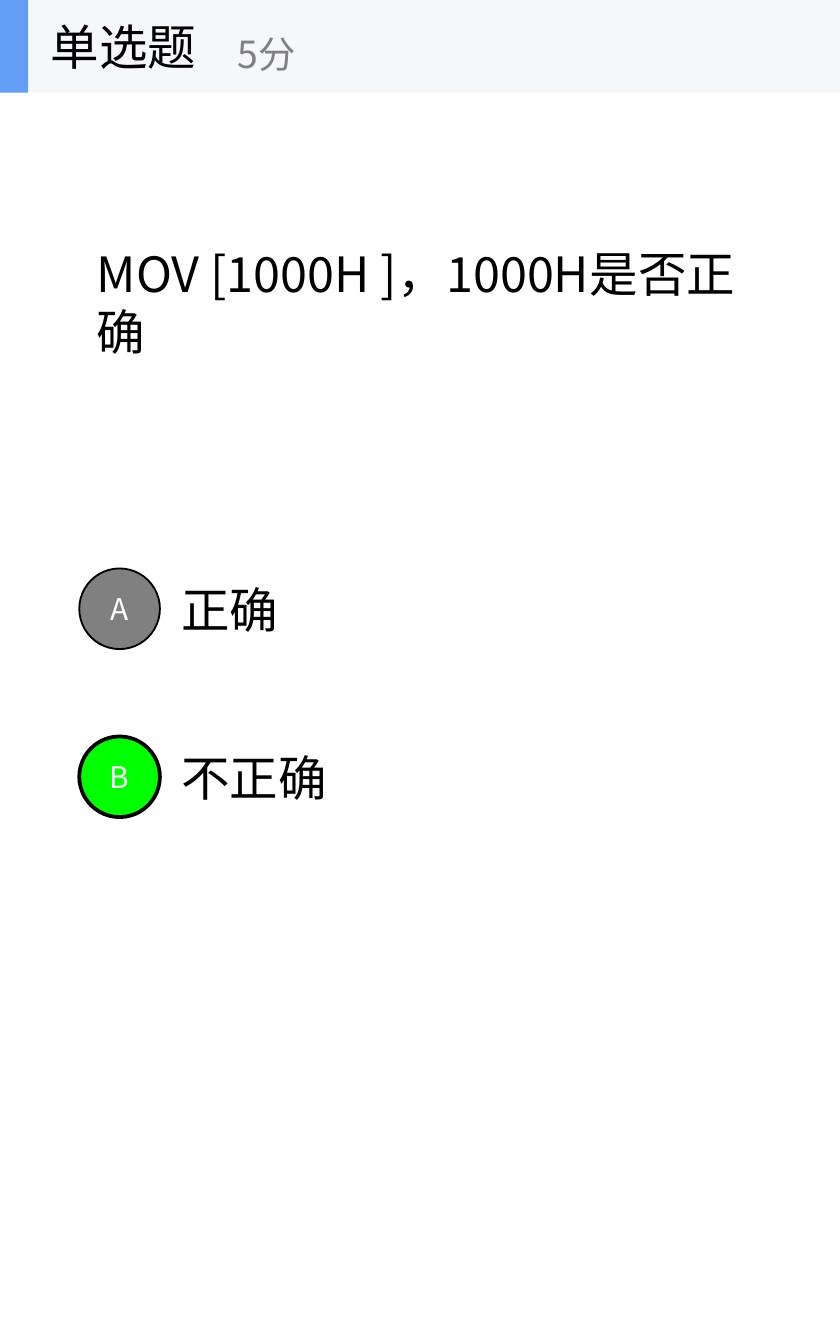
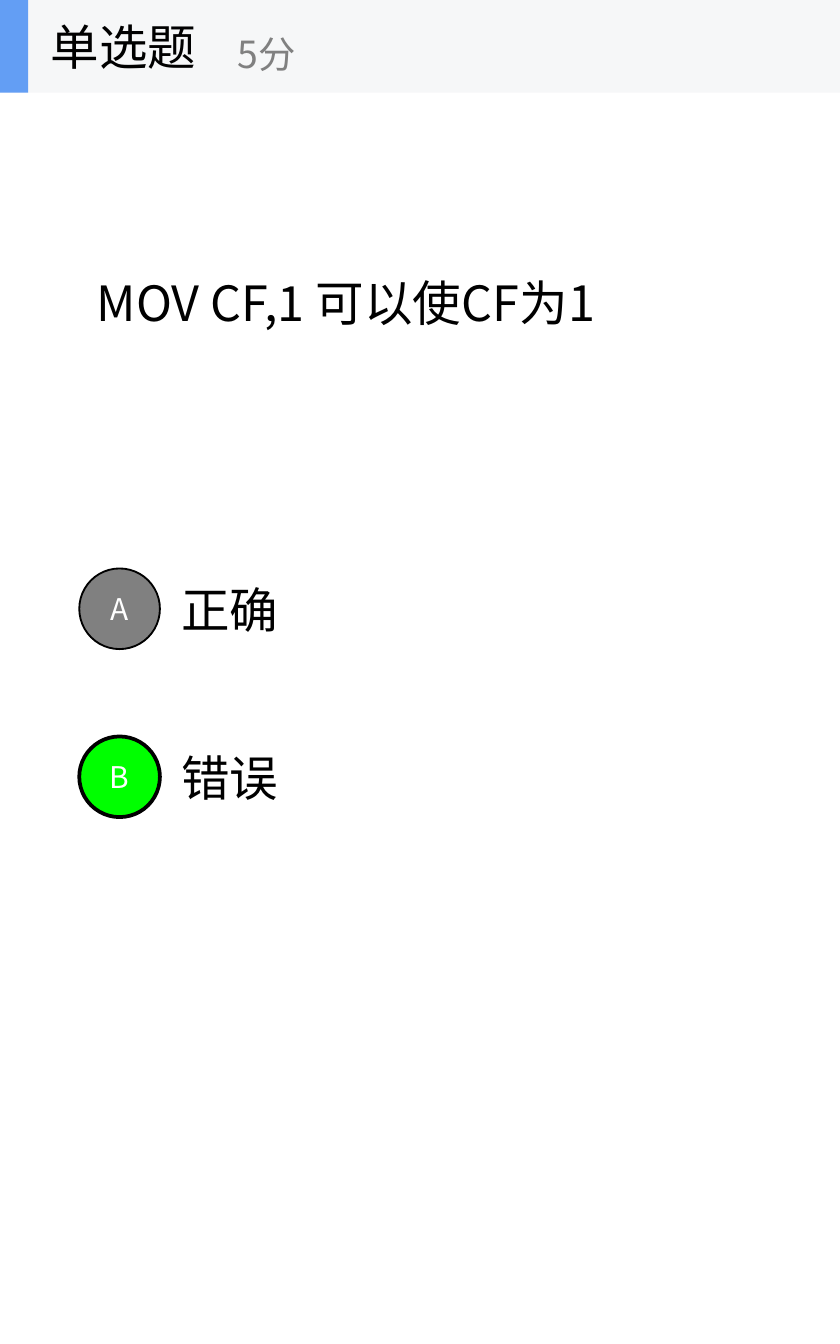
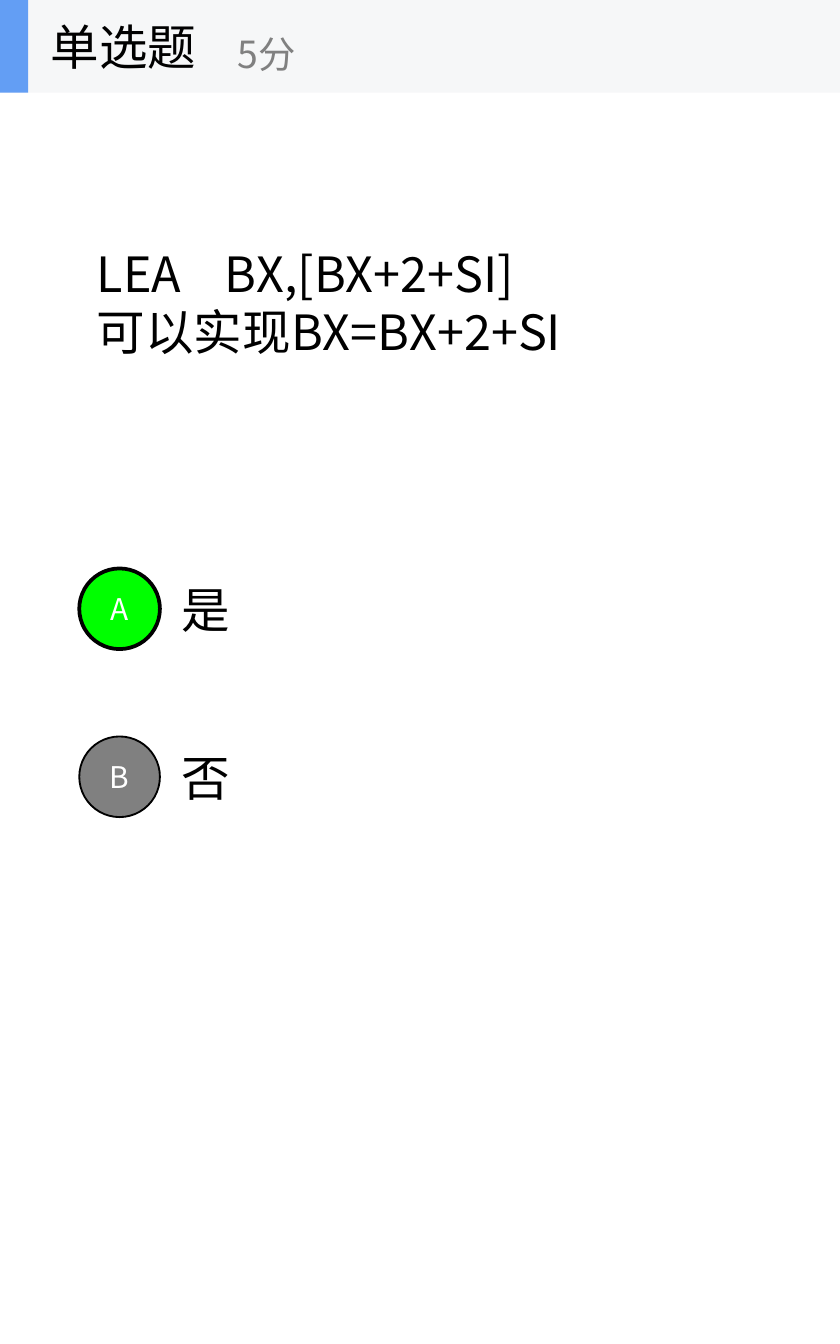
from lxml import etree
from pptx import Presentation
from pptx import util as u
from pptx.dml.color import RGBColor
from pptx.enum import shapes, text
from pptx.oxml import ns

FONT = "Noto Sans CJK SC"
BLACK, WHITE, GRAY, GREEN = "000000", "FFFFFF", "808080", "00FF00"
BAND, ACCENT = "F6F7F8", "639EF4"
SLIDE_WIDTH, SLIDE_HEIGHT, HEADER_HEIGHT = 6.25, 10, 0.69
QUESTION_BOX = (0.62, HEADER_HEIGHT, 5, 3.12)
OPTIONS_BOX = (0.59, 4.06, 5.04, 2.19)
ROW_HEIGHT, ROW_STEP, BADGE_SIZE, ANSWER_OFFSET = 0.94, 1.25, 0.6, 0.66
FRAME_FORMAT = {
    "word_wrap": True,
    "auto_size": text.MSO_AUTO_SIZE.NONE,
    "vertical_anchor": text.MSO_ANCHOR.MIDDLE,
}
BADGE_INSETS = dict.fromkeys(("margin_left", "margin_right", "margin_top", "margin_bottom"), 0)

QUESTIONS = [
    ("MOV [1000H ]，1000H是否正确", ["正确", "不正确"], "B"),
    ("MOV CF,1 可以使CF为1", ["正确", "错误"], "B"),
    ("LEA    BX,[BX+2+SI]\n可以实现BX=BX+2+SI", ["是", "否"], "A"),
]


def color(value):
    """Turn a hex string into a colour."""
    return RGBColor.from_string(value)


def apply_format(target, values):
    """Set each attribute in a dict of format values."""
    for name, value in values.items():
        setattr(target, name, value)


def inches(box):
    """Convert the four sides of a box to lengths."""
    return [u.Inches(side) for side in box]


def write(shape, words, size=26, ink=BLACK, align=text.PP_ALIGN.LEFT):
    """Fill a shape with formatted text."""
    frame = shape.text_frame
    apply_format(frame, FRAME_FORMAT)
    frame.text = words
    for paragraph in frame.paragraphs:
        paragraph.alignment = align
        for run in paragraph.runs:
            apply_format(run.font, {"name": FONT, "size": u.Pt(size)})
            run.font.color.rgb = color(ink)
            latin = run.font._element.find(ns.qn("a:latin"))
            east_asian = etree.Element(ns.qn("a:ea"), typeface=FONT)
            latin.addnext(east_asian)


def add_text(parent, words, box, **style):
    """Add a text box."""
    write(parent.add_textbox(*inches(box)), words, **style)


def add_filled(parent, kind, box, fill):
    """Add a flat preset shape without an outline."""
    shape = parent.add_shape(kind, *inches(box))
    shape.shadow.inherit = False
    shape.fill.solid()
    shape.fill.fore_color.rgb = color(fill)
    shape.line.fill.background()
    return shape


def add_question(slide, words, box):
    """Place the question in the title placeholder."""
    title = slide.shapes.title
    apply_format(title, dict(zip(("left", "top", "width", "height"), inches(box))))
    write(title, words)


def add_badge(parent, letter, box, is_answer):
    """Add a lettered circle, highlighted for the right answer."""
    badge = add_filled(parent, shapes.MSO_SHAPE.OVAL, box, GREEN if is_answer else GRAY)
    badge.line.color.rgb = color(BLACK)
    badge.line.width = u.Pt(2 if is_answer else 1)
    apply_format(badge.text_frame, BADGE_INSETS)
    write(badge, letter, size=16, ink=WHITE, align=text.PP_ALIGN.CENTER)


def add_options(slide, options, answer, box):
    """Stack the lettered options at equal steps."""
    left, top, width, _ = box
    for index, (letter, words) in enumerate(zip("ABCD", options)):
        row_top = top + index * ROW_STEP
        badge_top = row_top + (ROW_HEIGHT - BADGE_SIZE) / 2
        add_text(slide.shapes, words,
                 (left + ANSWER_OFFSET, row_top, width - ANSWER_OFFSET, ROW_HEIGHT))
        add_badge(slide.shapes, letter, (left, badge_top, BADGE_SIZE, BADGE_SIZE),
                  letter == answer)


def add_header(slide, box):
    """Group the band, accent bar, question type and score."""
    left, top, width, height = box
    header = slide.shapes.add_group_shape().shapes
    for bar_width, fill in ((width, BAND), (0.21, ACCENT)):
        add_filled(header, shapes.MSO_SHAPE.RECTANGLE, (left, top, bar_width, height), fill)
    add_text(header, "单选题", (left + 0.28, top, 2.08, height))
    add_text(header, "5分", (left + 1.67, top + 0.12, 2.5, 0.56), size=20, ink=GRAY)


def add_question_slide(presentation, question, options, answer):
    """Build one single-choice question slide."""
    slide = presentation.slides.add_slide(presentation.slide_layouts.get_by_name("Title Only"))
    add_question(slide, question, QUESTION_BOX)
    add_options(slide, options, answer, OPTIONS_BOX)
    add_header(slide, (0, 0, SLIDE_WIDTH, HEADER_HEIGHT))


def main():
    """Build and save the quiz."""
    presentation = Presentation()
    presentation.slide_width = u.Inches(SLIDE_WIDTH)
    presentation.slide_height = u.Inches(SLIDE_HEIGHT)
    for question in QUESTIONS:
        add_question_slide(presentation, *question)
    presentation.save("out.pptx")


if __name__ == "__main__":
    main()
